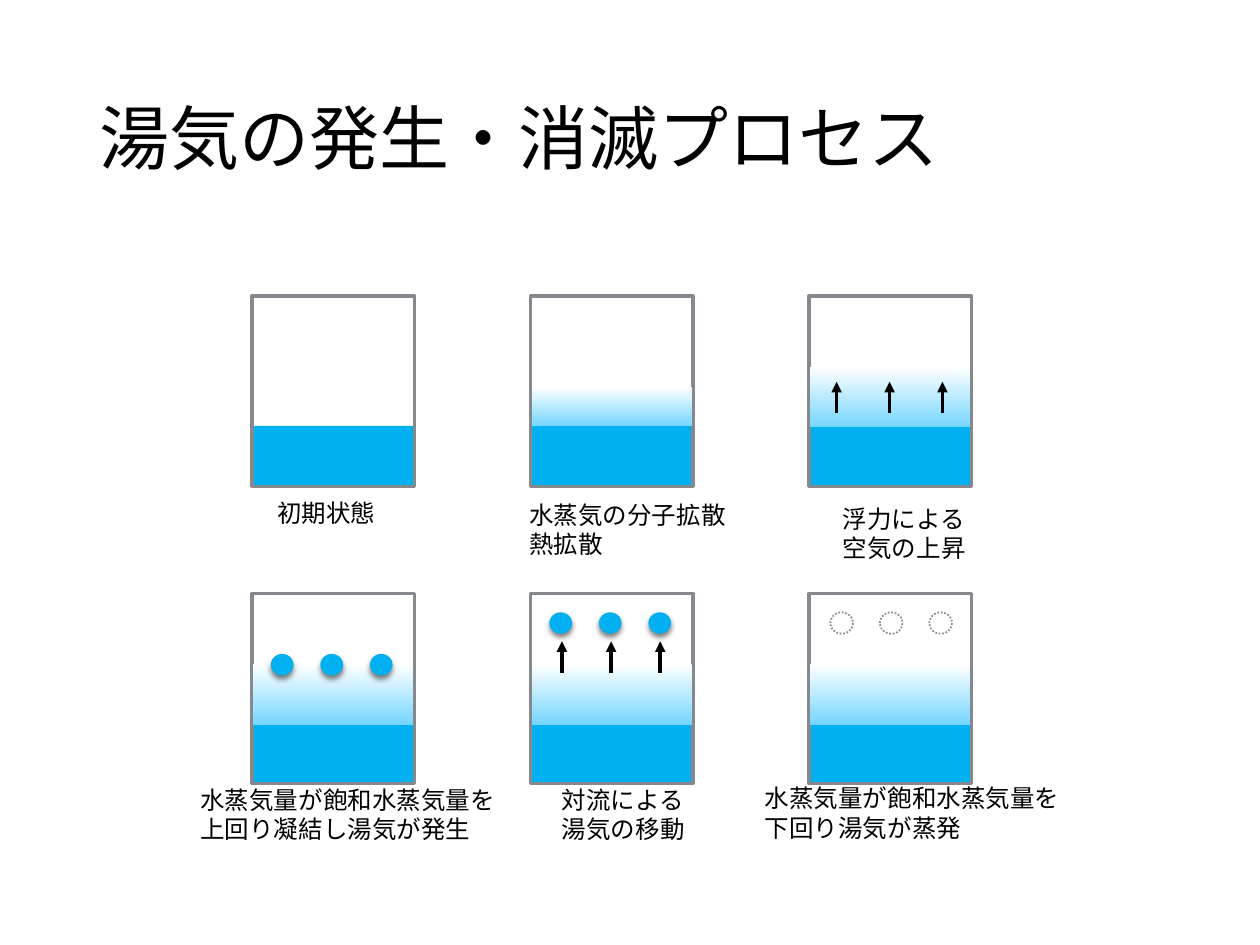
from dataclasses import dataclass

from lxml.etree import SubElement
from pptx import Presentation
from pptx.dml.color import RGBColor
from pptx.enum.dml import MSO_LINE
from pptx.enum.shapes import MSO_CONNECTOR, MSO_SHAPE
from pptx.enum.text import MSO_ANCHOR, MSO_AUTO_SIZE
from pptx.oxml.ns import qn
from pptx.slide import Slide
from pptx.util import Inches, Pt

COLUMNS, ROWS = 100, 75
JAR_WIDTH, JAR_HEIGHT = 12.9, 15.1
JAR_LEFTS = [20 + 22.1 * column for column in range(3)]
JAR_TOPS = [23.5 + 23.6 * row for row in range(2)]


def color(hex_text):
    """Turn a hex string into a colour."""
    return RGBColor.from_string(hex_text)


def write(frame, text, size=14, font="Calibri", east_asian=None, ink="000000", spacing=None):
    """Fill a text frame with one paragraph per line."""
    frame.text = text
    for paragraph in frame.paragraphs:
        paragraph.line_spacing = spacing
        for run in paragraph.runs:
            run.font.size = Pt(size)
            run.font.name = font
            run.font.color.rgb = color(ink)
            if east_asian:
                SubElement(run.font._element, qn("a:ea"), typeface=east_asian)


@dataclass
class SteamDiagram:
    """Draw jars, vapor, droplets and captions on a grid over the slide."""

    slide: Slide
    cell_width: int
    cell_height: int
    water: str = "00B0F0"
    vapor_bottom: str = "76D6FF"
    vapor_top: str = "FFFFFF"
    glass: str = "85888D"
    ink: str = "000000"

    def place(self, *lengths):
        """Turn alternating columns and rows into slide lengths."""
        units = (self.cell_width, self.cell_height) * 2
        return [round(length * unit) for length, unit in zip(lengths, units)]

    def shape(self, kind, *box, fill=None, line=None, weight=2):
        """Add a preset shape with a plain fill or outline."""
        shape = self.slide.shapes.add_shape(kind, *self.place(*box))
        shape.shadow.inherit = False
        if fill:
            shape.fill.solid()
            shape.fill.fore_color.rgb = color(fill)
        else:
            shape.fill.background()
        if line:
            shape.line.color.rgb = color(line)
            shape.line.width = Pt(weight)
        else:
            shape.line.fill.background()
        return shape

    def jar(self, left, top):
        """Add a jar with water in its lower third."""
        self.shape(MSO_SHAPE.RECTANGLE, left + 0.1, top + 10.3, 12.8, 4.8, fill=self.water)
        self.shape(MSO_SHAPE.RECTANGLE, left, top, JAR_WIDTH, JAR_HEIGHT, line=self.glass)

    def vapor(self, left, top, height):
        """Add a vapor layer that fades upwards."""
        layer = self.shape(MSO_SHAPE.RECTANGLE, left + 0.1, top, 12.7, height)
        layer.fill.gradient()
        layer.fill.gradient_angle = 270
        for stop, shade in zip(layer.fill.gradient_stops, (self.vapor_top, self.vapor_bottom)):
            stop.color.rgb = color(shade)

    def droplets(self, left, top, evaporated=False):
        """Add three droplets, dotted once they have evaporated."""
        for index in range(3):
            box = (left + 3.93 * index, top, 1.8, 1.7)
            if evaporated:
                ghost = self.shape(MSO_SHAPE.OVAL, *box, line=self.glass, weight=1)
                ghost.line.dash_style = MSO_LINE.ROUND_DOT
            else:
                self.cast_shadow(self.shape(MSO_SHAPE.OVAL, *box, fill=self.water))

    def cast_shadow(self, droplet):
        """Give a droplet a soft shadow below it."""
        effects = droplet._element.spPr.find(qn("a:effectLst"))
        shadow = SubElement(effects, qn("a:outerShdw"), blurRad=str(Pt(3)), dist=str(Pt(2)),
                            dir="5400000", rotWithShape="0")
        shade = SubElement(shadow, qn("a:srgbClr"), val=self.ink)
        SubElement(shade, qn("a:alpha"), val="50000")

    def rising_arrows(self, left, bottom, gap):
        """Add three arrows that point upwards."""
        for index in range(3):
            across = left + gap * index
            ends = self.place(across, bottom, across, bottom - 2.5)
            arrow = self.slide.shapes.add_connector(MSO_CONNECTOR.STRAIGHT, *ends)
            arrow.line.color.rgb = color(self.ink)
            arrow.line.width = Pt(2)
            SubElement(arrow.line._get_or_add_ln(), qn("a:tailEnd"), type="triangle")
            SubElement(arrow._element.spPr, qn("a:effectLst"))

    def text_box(self, text, *box, margin=None, wrap=False, **style):
        """Add a vertically centred text box."""
        frame = self.slide.shapes.add_textbox(*self.place(*box)).text_frame
        frame.word_wrap = wrap
        frame.vertical_anchor = MSO_ANCHOR.MIDDLE
        if margin is not None:
            frame.auto_size = MSO_AUTO_SIZE.SHAPE_TO_FIT_TEXT
            frame.margin_left = frame.margin_right = Inches(margin)
            frame.margin_top = frame.margin_bottom = Inches(margin)
        write(frame, text, ink=self.ink, **style)


def main():
    """Build the slide and save it."""
    deck = Presentation()
    deck.slide_width, deck.slide_height = Inches(10), Inches(7.5)
    slide = deck.slides.add_slide(deck.slide_layouts[6])
    diagram = SteamDiagram(slide, deck.slide_width / COLUMNS, deck.slide_height / ROWS)

    diagram.text_box("湯気の発生・消滅プロセス", 6.9, 4, 86.2, 14.5, wrap=True,
                     size=40, spacing=0.9, east_asian="Calibri")

    for top in JAR_TOPS:
        for left in JAR_LEFTS:
            diagram.jar(left, top)

    first, second, third = JAR_LEFTS
    diagram.vapor(second, 30.7, 3.1)
    diagram.vapor(third, 29.1, 4.8)
    for left in JAR_LEFTS:
        diagram.vapor(left, 52.7, 4.8)

    diagram.rising_arrows(third + 2.2, 32.8, gap=4.2)
    diagram.rising_arrows(second + 2.5, 53.4, gap=3.9)
    diagram.droplets(first + 1.5, 51.9)
    diagram.droplets(second + 1.5, 48.6)
    diagram.droplets(third + 1.7, 48.6, evaporated=True)

    captions = [
        ("初期状態", 21.4, 38.9, 9, 3.5),
        ("水蒸気の分子拡散\n熱拡散", 41.4, 39.1, 16.8, 5.8),
        ("浮力による\n空気の上昇", 66.3, 39.4, 11.4, 5.8),
        ("水蒸気量が飽和水蒸気量を\n上回り凝結し湯気が発生", 15.3, 61.7, 24.8, 5.8),
        ("対流による\n湯気の移動", 44, 61.7, 11.4, 5.8),
        ("水蒸気量が飽和水蒸気量を\n下回り湯気が蒸発", 60.1, 61.6, 24.8, 5.8),
    ]
    for text, *box in captions:
        diagram.text_box(text, *box, margin=0.06)

    deck.save("out.pptx")


if __name__ == "__main__":
    main()
